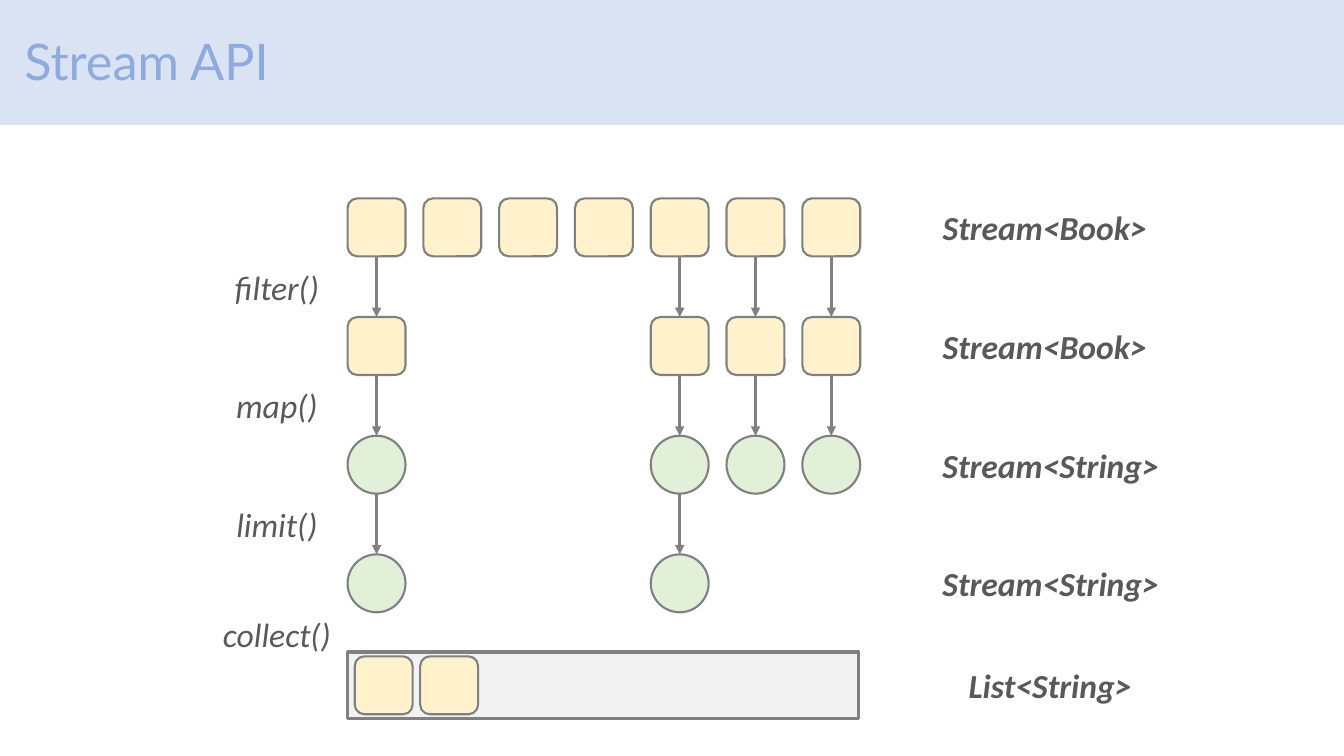
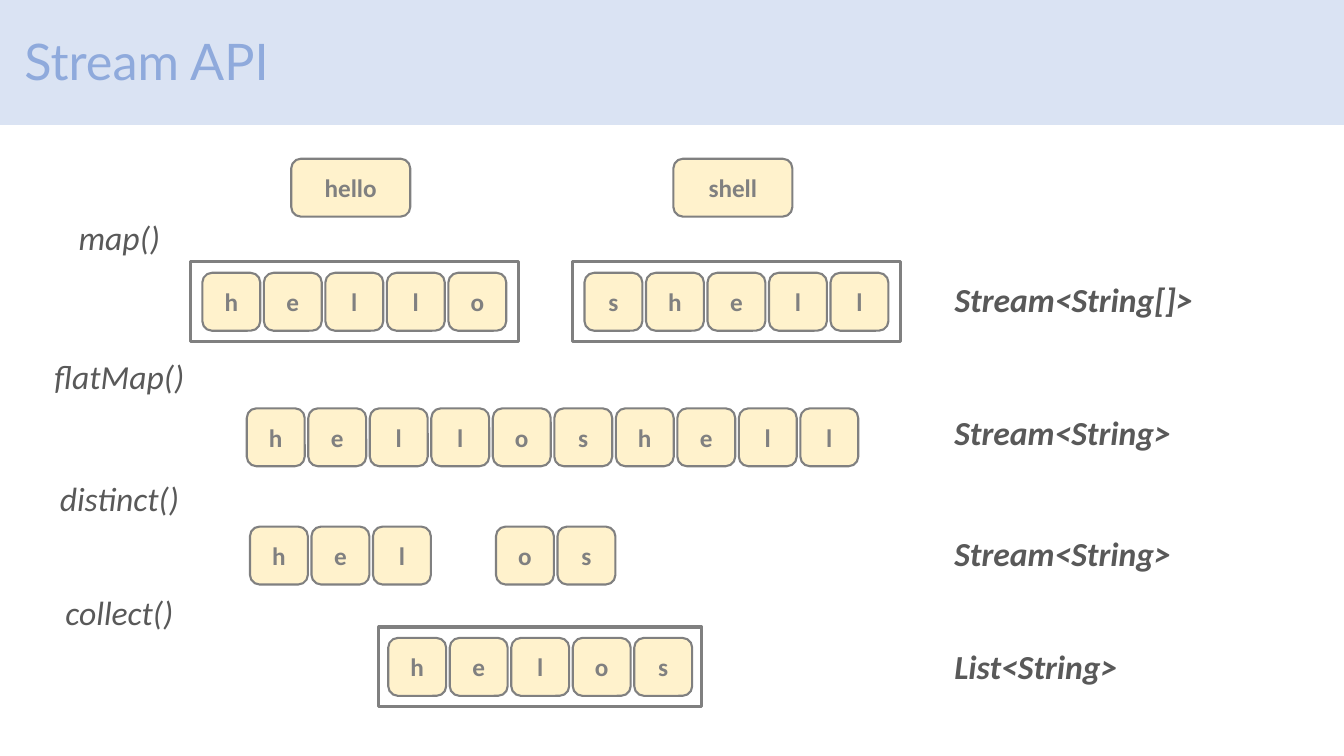
import lxml.etree
import pptx
import pptx.dml.color
import pptx.enum.shapes
import pptx.enum.text
import pptx.oxml.ns
import pptx.util

Cm = pptx.util.Cm
Pt = pptx.util.Pt
RGBColor = pptx.dml.color.RGBColor
KIND = pptx.enum.shapes.MSO_SHAPE
ALIGN = pptx.enum.text.PP_ALIGN
MIDDLE = pptx.enum.text.MSO_ANCHOR.MIDDLE

WHITE = RGBColor(0xFF, 0xFF, 0xFF)
BAND = RGBColor(0xDA, 0xE3, 0xF3)
BLUE = RGBColor(0x8F, 0xAA, 0xDC)
CREAM = RGBColor(0xFF, 0xF2, 0xCC)
GREEN = RGBColor(0xE2, 0xF0, 0xD9)
PALE = RGBColor(0xF2, 0xF2, 0xF2)
GREY = RGBColor(0x80, 0x80, 0x80)
DARK = RGBColor(0x59, 0x59, 0x59)

SIDE = 1.46    # side of a tile, cm
STEP = 1.55    # pitch of letter tiles, cm
HIGH = 1.27    # height of a label, cm
WIDE = {       # width of each label, cm
    "filter()": 2.74, "map()": 2.59, "limit()": 2.59, "collect()": 3.25,
    "flatMap()": 3.84, "distinct()": 3.56, "Stream<Book>": 5.72,
    "Stream<String>": 6.02, "Stream<String[]>": 6.58, "List<String>": 4.67,
}


# Shared parts
def style(para, size, color, font="Calibri", bold=False, slant=False, align=ALIGN.CENTER):
    para.alignment = align
    para.font.name = font
    para.font.size = Pt(size)
    para.font.bold = bold
    para.font.italic = slant
    para.font.color.rgb = color


def shape(slide, kind, left, top, width, height, fill=None, line=GREY, weight=1.5):
    item = slide.shapes.add_shape(kind, Cm(left), Cm(top), Cm(width), Cm(height))
    item.shadow.inherit = False
    if fill is None:
        item.fill.background()
    else:
        item.fill.solid()
        item.fill.fore_color.rgb = fill
    item.line.color.rgb = line
    item.line.width = Pt(weight)
    return item


def tile(slide, left, top, text="", width=SIDE):
    item = shape(slide, KIND.ROUNDED_RECTANGLE, left, top, width, SIDE, CREAM)
    if text:
        frame = item.text_frame
        frame.text = text
        frame.vertical_anchor = MIDDLE
        style(frame.paragraphs[0], 18, GREY, bold=True)
    return item


def label(slide, text, left, mid, bold=False):
    """Label centred on the height mid."""
    box = slide.shapes.add_textbox(Cm(left), Cm(mid - HIGH / 2), Cm(WIDE[text]), Cm(HIGH))
    box.text_frame.text = text
    box.text_frame.word_wrap = False
    style(box.text_frame.paragraphs[0], 24, DARK, bold=bold, slant=True)


def call(slide, text, axis, mid):
    """Method name centred on the point (axis, mid)."""
    label(slide, text, axis - WIDE[text] / 2, mid)


def arrow(slide, start, end):
    mid = start.left + start.width // 2
    link = slide.shapes.add_connector(pptx.enum.shapes.MSO_CONNECTOR.STRAIGHT,
                                      mid, start.top + start.height, mid, end.top)
    if start.auto_shape_type != KIND.OVAL:
        link.begin_connect(start, 2)
    link.end_connect(end, 0)
    link.line.color.rgb = GREY
    link.line.width = Pt(2.25)
    qn = pptx.oxml.ns.qn
    props = link.element.spPr
    lxml.etree.SubElement(props.find(qn("a:ln")), qn("a:tailEnd"), type="triangle")
    lxml.etree.SubElement(props, qn("a:effectLst"))


def page(deck, text):
    """New slide with the title on its band."""
    slide = deck.slides.add_slide(deck.slide_layouts[5])
    title = slide.shapes.title
    title.left, title.top, title.width, title.height = Cm(0.36), Cm(-0.23), Cm(29.21), Cm(3.68)
    title.text_frame.text = text
    title.text_frame.vertical_anchor = MIDDLE
    para = title.text_frame.paragraphs[0]
    style(para, 36, BLUE, "Lato", align=ALIGN.LEFT)
    para.line_spacing = 0.9
    band = shape(slide, KIND.RECTANGLE, -0.36, -0.1, 34.47, 3.28, BAND, WHITE, 1)
    title.element.addprevious(band.element)
    return slide


# Pipeline of books
def flow(slide, left, top):
    pitch, drop, axis, types = 1.91, 2.99, left - 1.78, left + 14.71
    rows = [
        (range(7), False, "Stream<Book>", "filter()"),
        ((0, 4, 5, 6), False, "Stream<Book>", "map()"),
        ((0, 4, 5, 6), True, "Stream<String>", "limit()"),
        ((0, 4), True, "Stream<String>", None),
    ]
    above = {}
    for row, (cols, mapped, kind, name) in enumerate(rows):
        y = top + row * drop
        items = {}
        for col in cols:
            x = left + col * pitch
            if mapped:
                items[col] = shape(slide, KIND.OVAL, x, y, SIDE, SIDE, GREEN)
            else:
                items[col] = tile(slide, x, y)
            if above:
                arrow(slide, above[col], items[col])
        above = items
        label(slide, kind, types, y + SIDE / 2, bold=True)
        if name:
            call(slide, name, axis, y + (SIDE + drop) / 2)

    # Collected list
    base, height = top + 11.43, 1.68
    shape(slide, KIND.RECTANGLE, left, base, 12.88, height, PALE, weight=2.25)
    for col in range(2):
        tile(slide, left + 0.18 + col * 1.65, base + (height - SIDE) / 2)
    call(slide, "collect()", axis, base - 0.46)
    label(slide, "List<String>", types + 0.66, base + height / 2, bold=True)


# Letters of words
def spell(slide, text, left, top):
    """Row of letter tiles; a space leaves a slot free."""
    for col, char in enumerate(text):
        if char != " ":
            tile(slide, left + col * STEP, top, char)


def tray(slide, text, left, top, width):
    height = 2.01
    shape(slide, KIND.RECTANGLE, left, top, width, height, weight=2.25)
    used = (len(text) - 1) * STEP + SIDE
    spell(slide, text, left + (width - used) / 2, top + (height - SIDE) / 2)


def letters(slide, left, top):
    for word, x in (("hello", left), ("shell", left + 9.63)):
        tile(slide, x + 2.54, top, word, 3)
        tray(slide, word, x, top + 2.6, 8.26)
    spell(slide, "helloshell", left + 1.42, top + 6.29)
    spell(slide, "hel os", left + 1.5, top + 9.27)
    tray(slide, "helos", left + 4.75, top + 11.8, 8.13)

    for name, mid in (("map()", 1.97), ("flatMap()", 5.47),
                      ("distinct()", 8.55), ("collect()", 11.42)):
        call(slide, name, left - 1.79, top + mid)
    for kind, mid in (("Stream<String[]>", 3.54), ("Stream<String>", 6.9),
                      ("Stream<String>", 9.94), ("List<String>", 12.79)):
        label(slide, kind, left + 18.97, top + mid, bold=True)


def main():
    deck = pptx.Presentation()
    deck.slide_width, deck.slide_height = Cm(33.87), Cm(19.05)
    flow(page(deck, "Stream API"), 8.76, 5)
    letters(page(deck, "Stream API"), 4.8, 4)
    deck.save("out.pptx")


if __name__ == "__main__":
    main()
